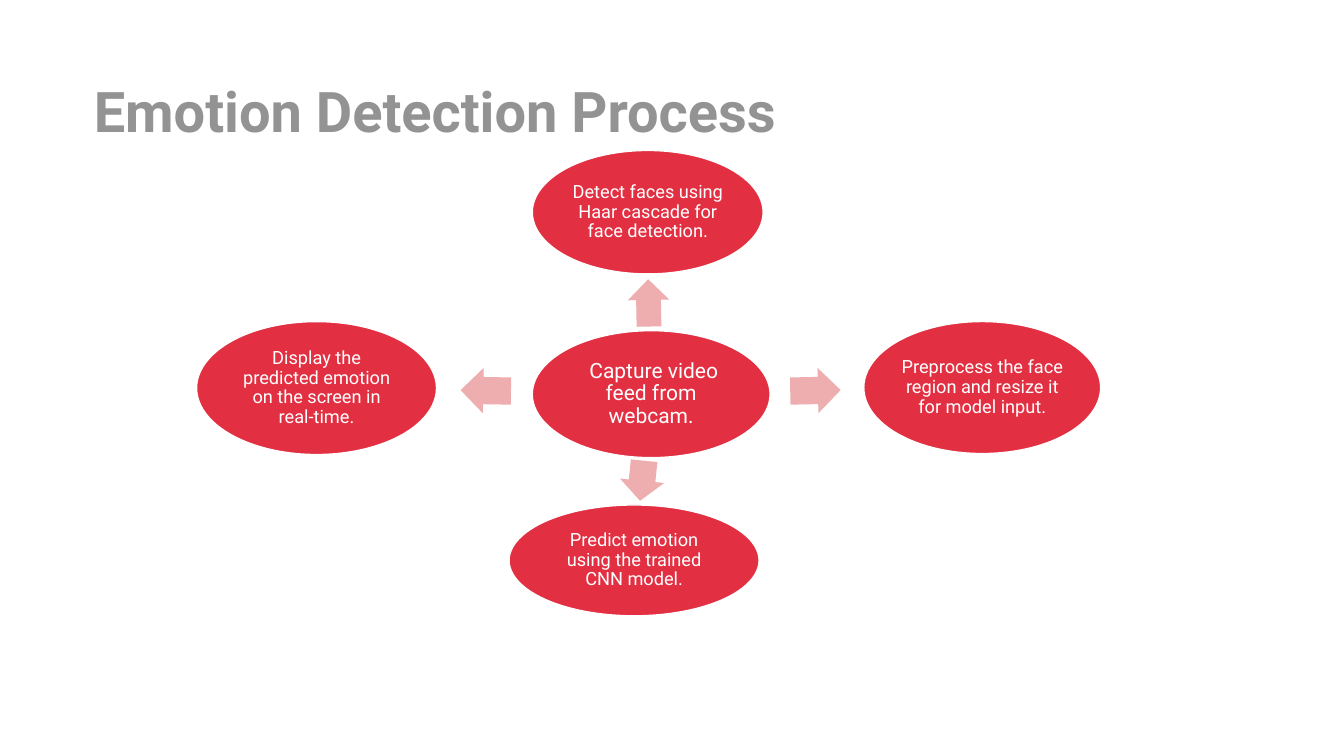
from pptx import Presentation
from pptx.dml.color import RGBColor
from pptx.enum.shapes import MSO_SHAPE
from pptx.enum.text import MSO_ANCHOR, MSO_AUTO_SIZE, PP_ALIGN
from pptx.util import Pt

OVAL, ARROW = MSO_SHAPE.OVAL, MSO_SHAPE.RIGHT_ARROW
MIDDLE = MSO_ANCHOR.MIDDLE
NO_AUTOFIT = MSO_AUTO_SIZE.NONE
LEFT, CENTER = PP_ALIGN.LEFT, PP_ALIGN.CENTER

RED = RGBColor(0xE2, 0x30, 0x42)
PINK = RGBColor(0xEE, 0xAE, 0xB0)
GRAY = RGBColor(0x93, 0x93, 0x93)
WHITE = RGBColor(0xFF, 0xFF, 0xFF)
FONT = "Roboto"
LINE_SPACING = 0.9

CAPTURE_SIZE, STEP_SIZE = 15, 13

# text, font size, (left, top, width, height)
STEPS = [
    (" Capture video feed from webcam.", CAPTURE_SIZE, (380.2, 236.2, 169.9, 90.7)),
    ("Detect faces using Haar cascade for face detection.", STEP_SIZE,
     (380.2, 107.5, 164.9, 88.2)),
    ("Preprocess the face region and resize it for model input.", STEP_SIZE,
     (617, 229.7, 169.2, 94.3)),
    ("Predict emotion using the trained CNN model.", STEP_SIZE,
     (363.6, 360.7, 178.6, 79.2)),
    ("Display the predicted emotion on the screen in real-time.", STEP_SIZE,
     (140.4, 229.7, 171.4, 95)),
]

# rotation, (left, top, width, height) before rotation
ARROWS = [
    (268.9, (446.4, 201.6, 33.8, 29.5)),
    (358.8, (564.5, 262.8, 36, 32.4)),
    (95.8, (444.2, 327.6, 28.8, 31.7)),
    (181, (329, 262.8, 36, 32.4)),
]


def write(paragraph, text, size, color, align, bold=False):
    paragraph.alignment = align
    paragraph.line_spacing = LINE_SPACING
    run = paragraph.add_run()
    run.text = text
    run.font.name = FONT
    run.font.size = Pt(size)
    run.font.bold = bold
    run.font.color.rgb = color


def add_title(slide, text):
    title = slide.shapes.title
    title.left, title.top, title.width, title.height = map(Pt, (59.8, 56.2, 833.8, 51.1))
    frame = title.text_frame
    frame.auto_size = NO_AUTOFIT
    frame.vertical_anchor = MIDDLE
    write(frame.paragraphs[0], text, 40, GRAY, LEFT, bold=True)


def add_filled(slide, kind, box, color):
    shape = slide.shapes.add_shape(kind, *map(Pt, box))
    shape.shadow.inherit = False
    shape.fill.solid()
    shape.fill.fore_color.rgb = color
    return shape


def add_step(slide, text, size, box):
    step = add_filled(slide, OVAL, box, RED)
    step.line.color.rgb = WHITE
    step.line.width = Pt(1)
    frame = step.text_frame
    frame.word_wrap = True
    frame.vertical_anchor = MIDDLE
    frame.margin_left = frame.margin_right = Pt(1.5)
    frame.margin_top = frame.margin_bottom = Pt(1.5)
    write(frame.paragraphs[0], text, size, WHITE, CENTER)


def add_arrow(slide, rotation, box):
    arrow = add_filled(slide, ARROW, box, PINK)
    arrow.line.fill.background()
    arrow.adjustments[0] = 0.6
    arrow.adjustments[1] = 0.5
    arrow.rotation = rotation


def main():
    presentation = Presentation()
    presentation.slide_width, presentation.slide_height = Pt(960), Pt(540)
    title_only = presentation.slide_layouts[5]
    slide = presentation.slides.add_slide(title_only)
    add_title(slide, "Emotion Detection Process")
    for step in STEPS:
        add_step(slide, *step)
    for arrow in ARROWS:
        add_arrow(slide, *arrow)
    presentation.save("out.pptx")


if __name__ == "__main__":
    main()
